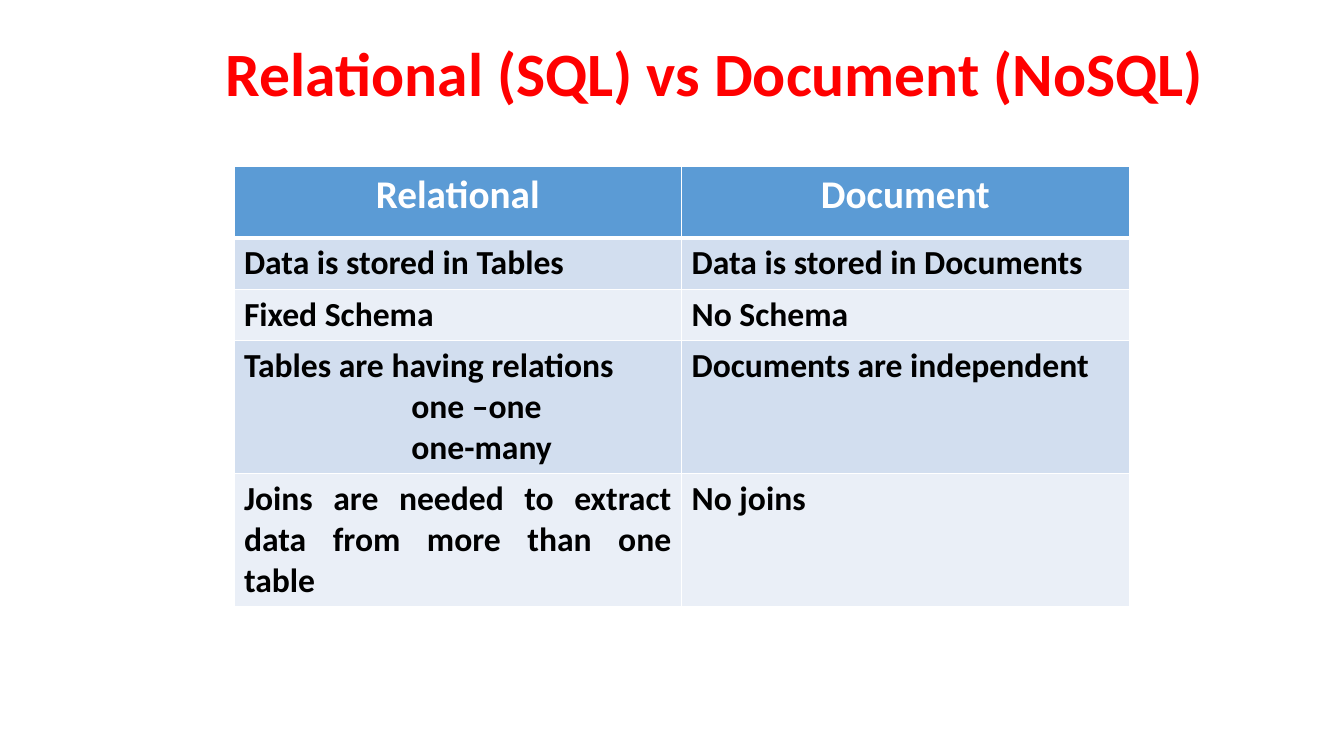
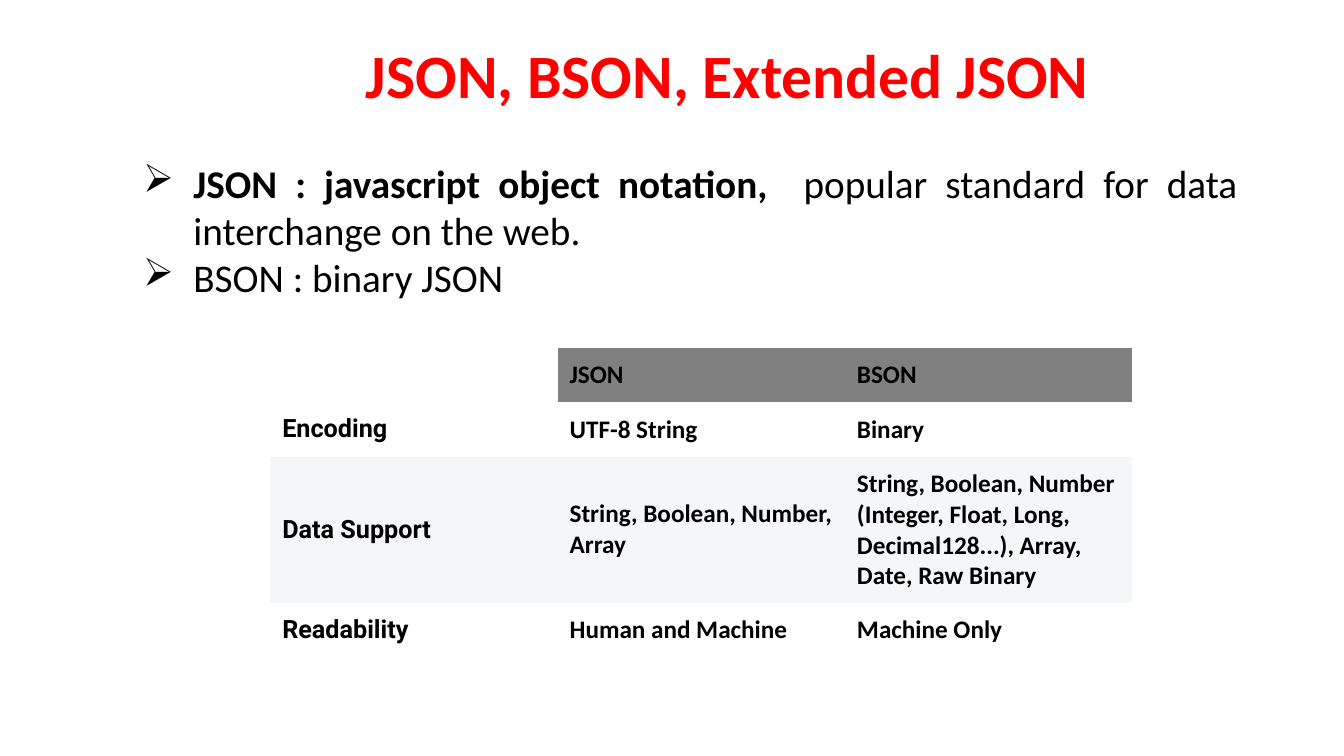
from lxml.etree import SubElement
from pptx import Presentation
from pptx.dml.color import RGBColor
from pptx.enum.text import MSO_ANCHOR, MSO_AUTO_SIZE, PP_ALIGN
from pptx.oxml.ns import qn
from pptx.util import Inches, Pt

RED, BLACK, WHITE = "FF0000", "000000", "FFFFFF"
BLUE, BLUE_BAND, PALE_BAND = "5B9BD5", "D2DEEF", "EAEFF7"
GREY, GREY_BAND = "808080", "F5F6F7"
PLAIN_TABLE = "{2D5ABB26-0587-4C30-8999-92F81FD0307C}"  # no style, no grid


def color(value):
    return RGBColor.from_string(value)


def write(para, text, size=24, bold=True, fill=BLACK, font="Calibri", align=None):
    """Add one formatted span of text to a paragraph."""
    span = para.add_run()
    span.text = text
    span.font.size = Pt(size)
    span.font.bold = bold
    span.font.name = font
    span.font.color.rgb = color(fill)
    if align is not None:
        para.alignment = align


def indent(para, left, first=0, bullet=None):
    """Set the left indent, the first-line offset and an optional bullet."""
    properties = para._p.get_or_add_pPr()
    properties.set("marL", str(Inches(left)))
    properties.set("indent", str(Inches(first)))
    if bullet:
        SubElement(properties, qn("a:buChar"), char=bullet)


def border(cell, **widths):
    """Draw white cell borders; sides are L, R, T and B, widths in points."""
    properties = cell._tc.get_or_add_tcPr()
    for side, width in widths.items():
        line = SubElement(properties, qn(f"a:ln{side}"), w=str(Pt(width)))
        SubElement(SubElement(line, qn("a:solidFill")), qn("a:srgbClr"), val=WHITE)


class Deck:
    """Holds the shared style and the current page."""

    def __init__(self):
        self.file = Presentation()
        self.file.slide_width = Inches(13.33)
        self.file.slide_height = Inches(7.5)
        self.page = None

    def add_page(self, title, left, top, width):
        self.page = self.file.slides.add_slide(self.file.slide_layouts[5])
        box = self.page.shapes.title
        box.left, box.top = Inches(left), Inches(top)
        box.width, box.height = Inches(width), Inches(0.84)
        box.text_frame.auto_size = MSO_AUTO_SIZE.NONE
        write(box.text_frame.paragraphs[0], title, size=44, fill=RED, align=PP_ALIGN.LEFT)

    def add_bullets(self, items, left, top, width, height):
        """Each item is a list of (text, bold) spans."""
        box = self.page.shapes.add_textbox(
            Inches(left), Inches(top), Inches(width), Inches(height))
        frame = box.text_frame
        frame.word_wrap = True
        for index, spans in enumerate(items):
            para = frame.add_paragraph() if index else frame.paragraphs[0]
            indent(para, 0.5, -0.5, "➢")
            for text, bold in spans:
                write(para, text, size=28, bold=bold, align=PP_ALIGN.JUSTIFY)

    def add_table(self, rows, left, top, column, heights):
        """Add an unstyled table and return it for formatting."""
        columns = len(rows[0])
        table = self.page.shapes.add_table(
            len(rows), columns, Inches(left), Inches(top),
            Inches(column * columns), Inches(sum(heights))).table
        table._tbl.tblPr.find(qn("a:tableStyleId")).text = PLAIN_TABLE
        for table_column in table.columns:
            table_column.width = Inches(column)
        for row, height in zip(table.rows, heights):
            row.height = Inches(height)
        return table

    def fill_cell(self, cell, fill):
        if fill:
            cell.fill.solid()
            cell.fill.fore_color.rgb = color(fill)
        else:
            cell.fill.background()

    def add_banded_table(self, rows, **place):
        """Blue header, banded rows; further lines in a cell are indented."""
        table = self.add_table(rows, **place)
        for r, row in enumerate(rows):
            for c, text in enumerate(row):
                cell = table.cell(r, c)
                border(cell, L=1, R=1, T=3 if r == 1 else 1, B=3 if r == 0 else 1)
                self.fill_cell(cell, (BLUE_BAND if r % 2 else PALE_BAND) if r else BLUE)
                style = (dict(align=PP_ALIGN.JUSTIFY) if r else
                         dict(size=28, fill=WHITE, align=PP_ALIGN.CENTER))
                for index, line in enumerate(text.split("\n")):
                    frame = cell.text_frame
                    para = frame.add_paragraph() if index else frame.paragraphs[0]
                    if index:
                        indent(para, 1.66)
                    write(para, line, **style)

    def add_comparison_table(self, rows, **place):
        """Grey header beside an empty corner; row names in the first column."""
        table = self.add_table(rows, **place)
        for r, row in enumerate(rows):
            for c, text in enumerate(row):
                cell = table.cell(r, c)
                header = GREY if c else None
                self.fill_cell(cell, (None if r % 2 else GREY_BAND) if r else header)
                cell.vertical_anchor = MSO_ANCHOR.MIDDLE
                cell.margin_left = cell.margin_right = Inches(0.12)
                cell.margin_top = cell.margin_bottom = Inches(0.12)
                if text:
                    write(cell.text_frame.paragraphs[0], text, size=18,
                          font="Calibri" if c else "Roboto")


def main():
    deck = Deck()

    # Relational and document databases
    deck.add_page("Relational (SQL) vs Document (NoSQL)", 2.14, 0.29, 10)
    deck.add_banded_table([
        ("Relational", "Document"),
        ("Data is stored in Tables", "Data is stored in Documents"),
        ("Fixed Schema", "No Schema"),
        ("Tables are having relations\none –one\none-many", "Documents are independent"),
        ("Joins are needed to extract data from more than one table", "No joins"),
    ], left=2.32, top=1.65, column=4.44, heights=[0.71, 0.51, 0.51, 1.3, 1.3])

    # JSON and BSON
    deck.add_page("JSON, BSON, Extended JSON", 3.53, 0.31, 7.45)
    deck.add_bullets([
        [("JSON : javascript object notation, ", True),
         (" popular standard for data interchange on the web.", False)],
        [("BSON : binary JSON", False)],
    ], 1.32, 1.53, 11.05, 1.51)
    deck.add_comparison_table([
        ("", "JSON", "BSON"),
        ("Encoding", "UTF-8 String", "Binary"),
        ("Data Support", "String, Boolean, Number, Array",
         "String, Boolean, Number (Integer, Float, Long, Decimal128...), Array, "
         "Date, Raw Binary"),
        ("Readability", "Human and Machine", "Machine Only"),
    ], left=2.68, top=3.45, column=2.85, heights=[0.54, 0.54, 1.45, 0.54])

    deck.file.save("out.pptx")


if __name__ == "__main__":
    main()
